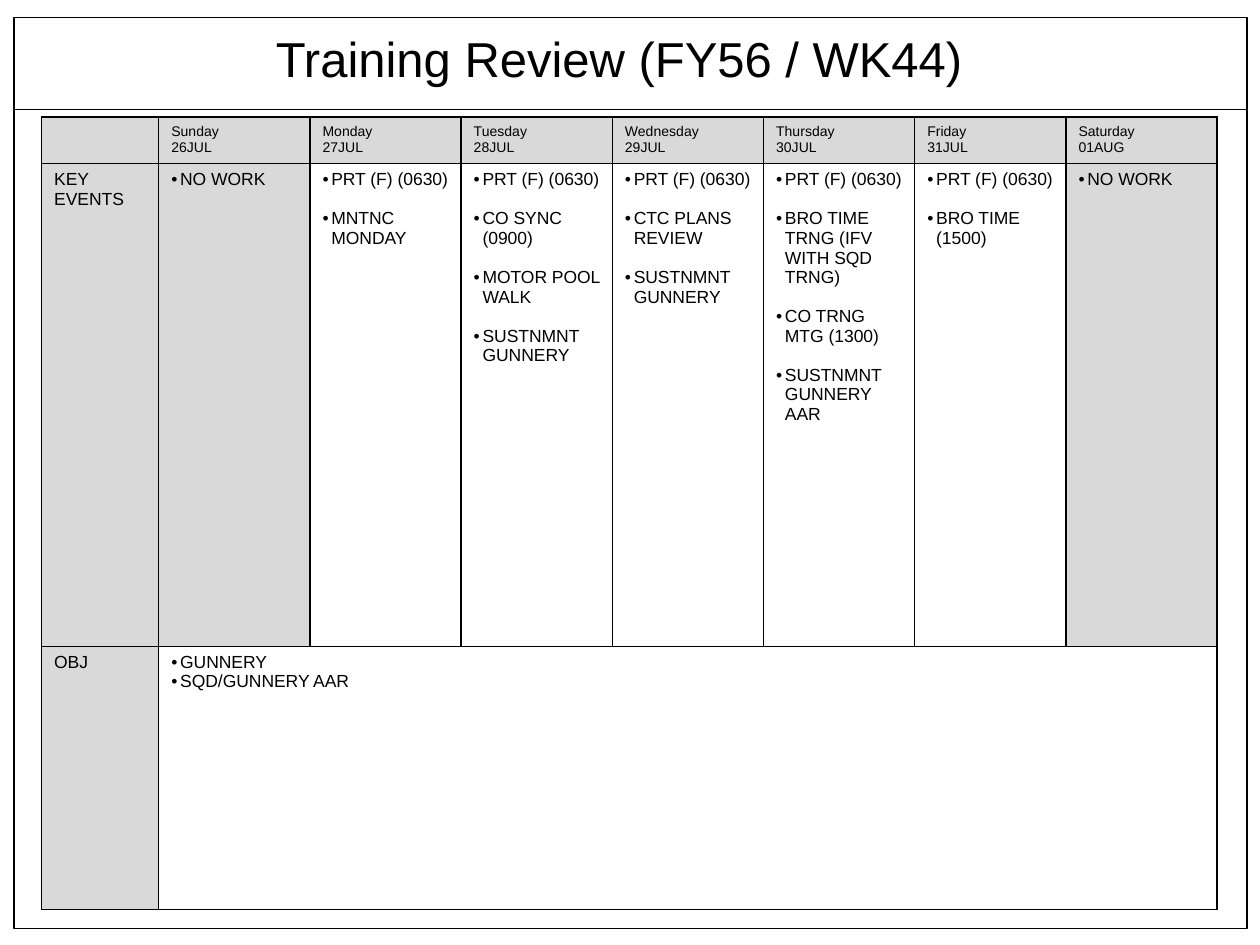
from dataclasses import dataclass

from lxml import etree
from pptx import Presentation
from pptx import util as u
from pptx.dml.color import RGBColor
from pptx.enum import shapes, text
from pptx.oxml import ns
from pptx.util import Inches


@dataclass(frozen=True)
class Theme:
    font: str = "Arial"
    ink: RGBColor = RGBColor(0, 0, 0)
    paper: RGBColor = RGBColor(255, 255, 255)
    shade: RGBColor = RGBColor(0xD9, 0xD9, 0xD9)
    title: int = 28
    day: int = 8
    body: int = 10
    line: int = 1
    event_gap: float = 11.2


THEME = Theme()
TITLE = "Training Review (FY56 / WK44)"
PRT = "PRT (F) (0630)"
GUNNERY = "SUSTNMNT GUNNERY"
# Day, date, key events
WEEK = [
    ("Sunday", "26JUL", ["NO WORK"]),
    ("Monday", "27JUL", [PRT, "MNTNC MONDAY"]),
    ("Tuesday", "28JUL", [PRT, "CO SYNC (0900)", "MOTOR POOL WALK", GUNNERY]),
    ("Wednesday", "29JUL", [PRT, "CTC PLANS REVIEW", GUNNERY]),
    ("Thursday", "30JUL", [PRT, "BRO TIME TRNG (IFV WITH SQD TRNG)",
                           "CO TRNG MTG (1300)", "SUSTNMNT GUNNERY AAR"]),
    ("Friday", "31JUL", [PRT, "BRO TIME (1500)"]),
    ("Saturday", "01AUG", ["NO WORK"]),
]
DAYS_OFF = ("Sunday", "Saturday")
OBJECTIVES = ["GUNNERY", "SQD/GUNNERY AAR"]
LABEL_WIDTH, DAY_WIDTH = 0.93, 1.2
ROW_HEIGHTS = [0.37, 3.83, 2.09]


def apply(target, values):
    for name, value in values.items():
        setattr(target, name, value)


def style_line(line):
    line.color.rgb = THEME.ink
    line.width = u.Pt(THEME.line)


def style_font(font, size):
    apply(font, {"name": THEME.font, "size": u.Pt(size), "bold": False})
    font.color.rgb = THEME.ink


def add_frame(page):
    box = page.shapes.add_shape(shapes.MSO_SHAPE.RECTANGLE, Inches(0.11),
                                Inches(0.14), Inches(9.79), Inches(7.23))
    box.shadow.inherit = False
    box.fill.background()
    style_line(box.line)


def add_rule(page):
    rule = page.shapes.add_connector(shapes.MSO_CONNECTOR.STRAIGHT, Inches(0.1),
                                     Inches(0.87), Inches(9.89), Inches(0.87))
    style_line(rule.line)
    etree.SubElement(rule._element.spPr, ns.qn("a:effectLst"))


def set_title(page):
    box = page.shapes.title
    apply(box, {"left": Inches(2.09), "top": Inches(0.18),
                "width": Inches(5.82), "height": Inches(0.57)})
    frame = box.text_frame
    apply(frame, {"text": TITLE, "word_wrap": True,
                  "auto_size": text.MSO_AUTO_SIZE.NONE,
                  "vertical_anchor": text.MSO_ANCHOR.TOP})
    para = frame.paragraphs[0]
    para.alignment = text.PP_ALIGN.LEFT
    style_font(para.runs[0].font, THEME.title)


def add_bullet(para):
    props = para._p.get_or_add_pPr()
    indent = Inches(0.07)
    props.set("marL", str(indent))
    props.set("indent", str(-indent))
    etree.SubElement(props, ns.qn("a:buFont"), typeface=THEME.font)
    etree.SubElement(props, ns.qn("a:buChar"), char="•")


def add_borders(cell):
    # Borders come before the fill in the cell properties
    props = cell._tc.get_or_add_tcPr()
    for index, side in enumerate(("lnL", "lnR", "lnT", "lnB")):
        border = etree.Element(ns.qn("a:" + side), w=str(u.Pt(THEME.line)))
        fill = etree.SubElement(border, ns.qn("a:solidFill"))
        etree.SubElement(fill, ns.qn("a:srgbClr"), val=str(THEME.ink))
        props.insert(index, border)


def fill_cell(cell, lines, size=THEME.body, bullet=False, gap=0):
    cell.text_frame.text = "\n".join(lines)
    for index, para in enumerate(cell.text_frame.paragraphs):
        if index:
            para.space_before = u.Pt(gap)
        if bullet:
            add_bullet(para)
        for span in para.runs:
            style_font(span.font, size)
        if not para.runs:
            # Keeps an empty cell from stretching its row
            etree.SubElement(para._p, ns.qn("a:endParaRPr"), sz=str(size * 100))


def add_calendar(page):
    widths = [LABEL_WIDTH] + [DAY_WIDTH] * len(WEEK)
    table = page.shapes.add_table(
        len(ROW_HEIGHTS), len(widths), Inches(0.33), Inches(0.93),
        Inches(sum(widths)), Inches(sum(ROW_HEIGHTS))).table
    apply(table, {"first_row": False, "horz_banding": False})
    for column, width in zip(table.columns, widths):
        column.width = Inches(width)
    for row, height in zip(table.rows, ROW_HEIGHTS):
        row.height = Inches(height)

    # Row labels
    for row, label in enumerate(["", "KEY EVENTS", "OBJ"]):
        fill_cell(table.cell(row, 0), [label], THEME.body if row else THEME.day)

    # Days and their events
    for column, (day, date, events) in enumerate(WEEK, 1):
        fill_cell(table.cell(0, column), [day, date], THEME.day)
        fill_cell(table.cell(1, column), events, bullet=True, gap=THEME.event_gap)

    # Objectives for the whole week
    goals = table.cell(2, 1)
    goals.merge(table.cell(2, len(WEEK)))
    fill_cell(goals, OBJECTIVES, bullet=True)

    # Shading and borders
    off = [column for column, (day, *_) in enumerate(WEEK, 1) if day in DAYS_OFF]
    for row in range(len(ROW_HEIGHTS)):
        for column in range(len(widths)):
            cell = table.cell(row, column)
            shaded = row == 0 or column == 0 or (row == 1 and column in off)
            cell.fill.solid()
            cell.fill.fore_color.rgb = THEME.shade if shaded else THEME.paper
            add_borders(cell)


def main():
    deck = Presentation()
    apply(deck, {"slide_width": Inches(10), "slide_height": Inches(7.5)})
    page = deck.slides.add_slide(deck.slide_layouts[5])
    add_frame(page)
    add_rule(page)
    set_title(page)
    add_calendar(page)
    deck.save("out.pptx")


if __name__ == "__main__":
    main()
